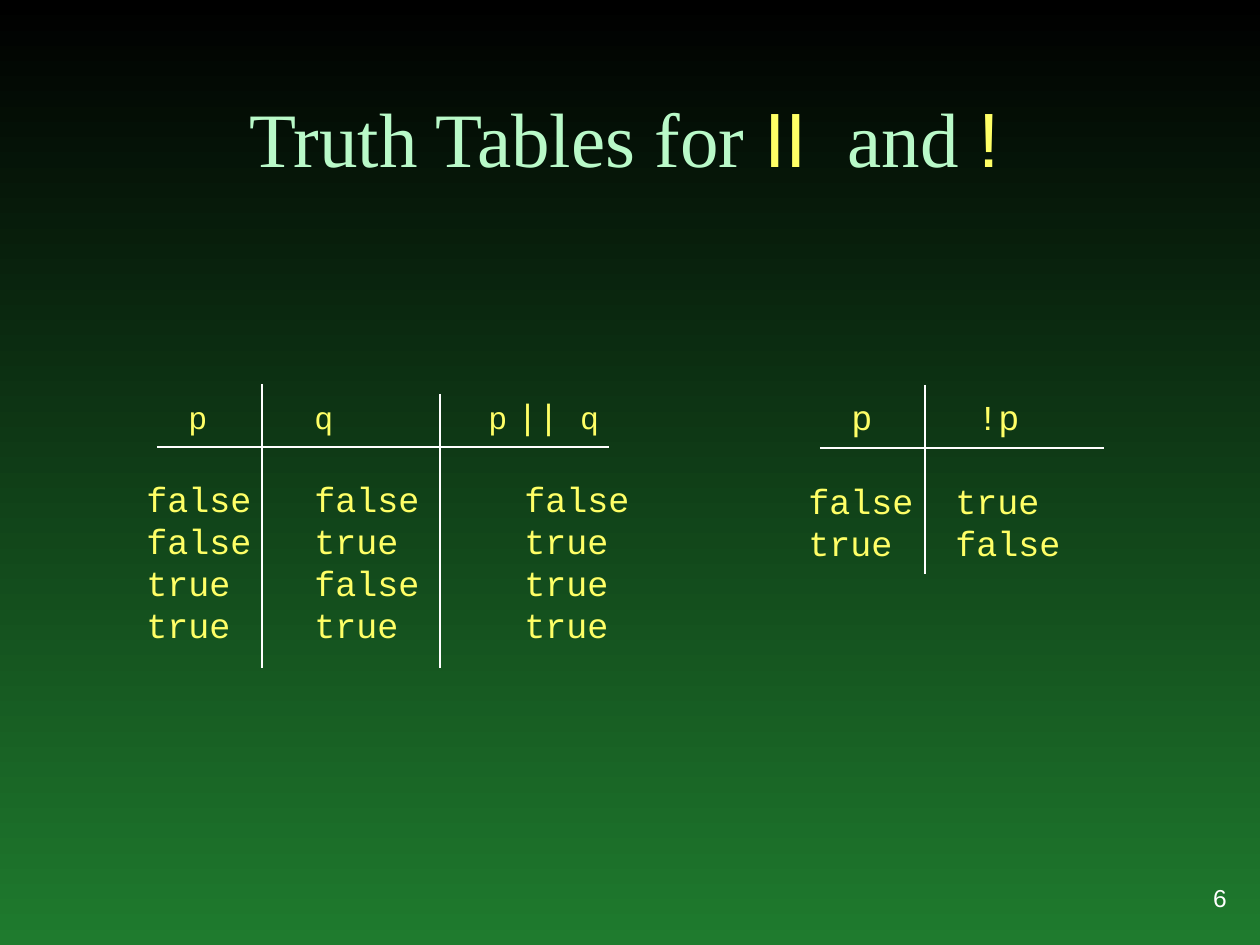
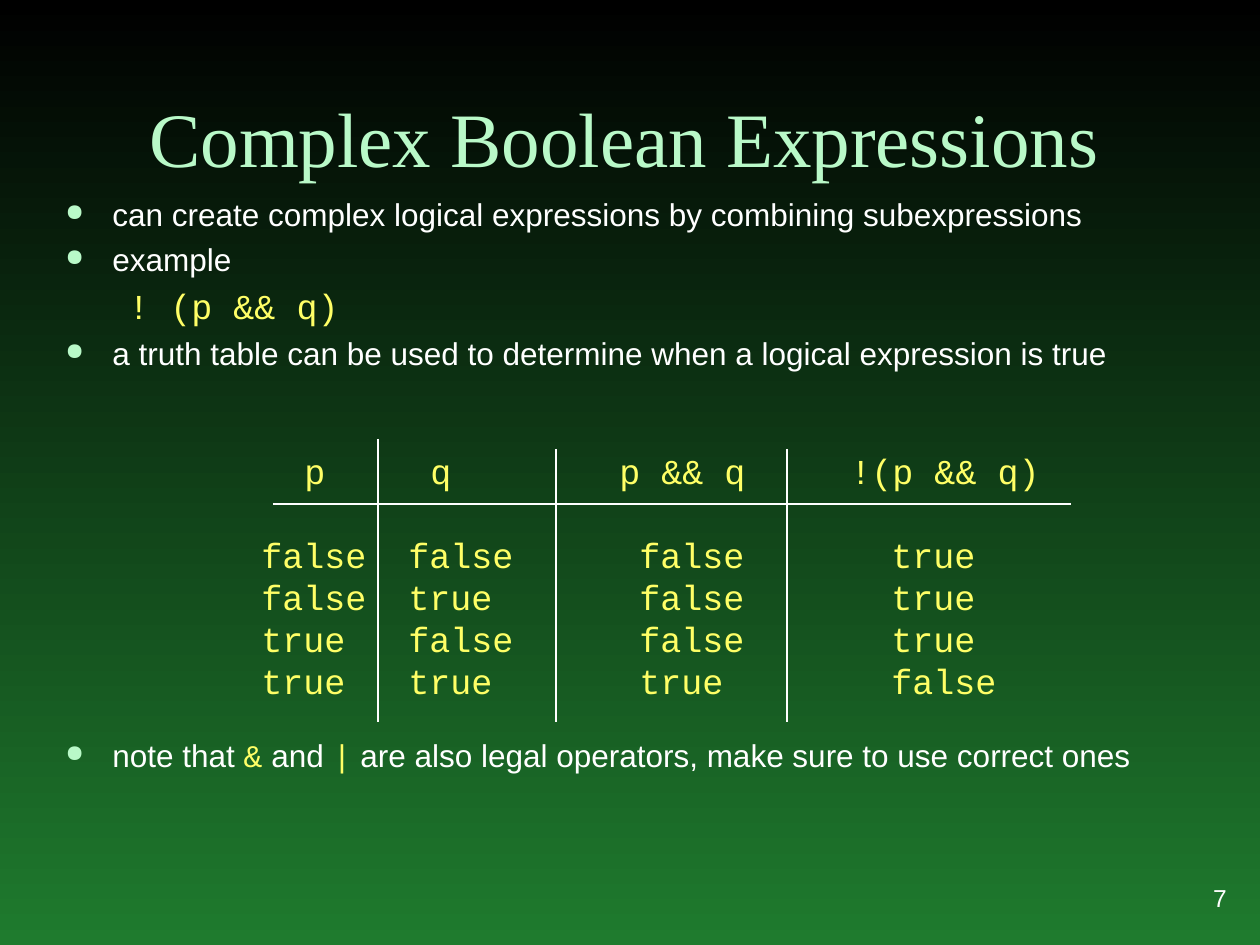
from dataclasses import dataclass

from lxml.etree import SubElement
from pptx import Presentation
from pptx.dml.color import RGBColor
from pptx.enum.shapes import MSO_CONNECTOR
from pptx.enum.text import MSO_ANCHOR, PP_ALIGN
from pptx.oxml.ns import qn
from pptx.util import Emu, Pt

PX_PER_INCH = 126
BLACK = RGBColor(0x00, 0x00, 0x00)
GREEN = RGBColor(0x1F, 0x7B, 0x2E)
MINT = RGBColor(0xB9, 0xF9, 0xC8)
YELLOW = RGBColor(0xFF, 0xFF, 0x66)
WHITE = RGBColor(0xFF, 0xFF, 0xFF)

SANS, SERIF, MONO = "Arial", "Times New Roman", "Courier New"
TITLE_BOX = (84, 32, 1081, 157)
NUMBER_BOX = (1071, 861, 168, 73)
BODY_BOX = (53, 189, 1166, 620)
BULLET_INDENT, CODE_INDENT = 47, 63
LINE_HEIGHT, INSET_HEIGHT = 42, 14


@dataclass(frozen=True)
class Span:
    text: str
    size: int = 20
    font: str = MONO
    color: RGBColor = YELLOW


@dataclass(frozen=True)
class TruthTable:
    """Rule, dividers and tab stops of one table; stops count from the text edge."""
    header: tuple[Span, ...]
    header_at: tuple[int, int]
    header_stops: tuple[int, ...]
    rows: tuple[str, ...]
    rows_at: tuple[int, int]
    row_stops: tuple[int, ...]
    rule: tuple[int, int, int]
    dividers: tuple[tuple[int, int], ...]
    bottom: int
    width: int


@dataclass(frozen=True)
class Point:
    spans: tuple[Span, ...]
    bulleted: bool = True
    space_before: int = 4


def title_span(text: str) -> Span:
    return Span(text, 44, SERIF, MINT)


def operator_span(text: str) -> Span:
    return Span(text, 44, SANS)


def plain(text: str) -> Span:
    return Span(text, 18, SANS, WHITE)


def code(text: str) -> Span:
    return Span(text, 18)


OR_TABLE = TruthTable(
    header=(code("p\tq\tp"), Span(" ", font=SANS), Span("|| "), code("q")),
    header_at=(176, 388), header_stops=(126, 300),
    rows=("false false false", "false true true", "true false true", "true true true"),
    rows_at=(134, 471), row_stops=(168, 378),
    rule=(157, 609, 447), dividers=((262, 384), (440, 394)), bottom=668, width=513,
)
NOT_TABLE = TruthTable(
    header=(Span("p\t!p"),),
    header_at=(839, 389), header_stops=(126,),
    rows=("false true", "true false"),
    rows_at=(796, 473), row_stops=(147,),
    rule=(820, 1104, 448), dividers=((925, 385),), bottom=574, width=300,
)
COMPLEX_TABLE = TruthTable(
    header=(Span("p\tq\tp && q\t!(p && q)"),),
    header_at=(292, 443), header_stops=(126, 315, 546),
    rows=("false false false true", "false true false true",
          "true false false true", "true true true false"),
    rows_at=(249, 527), row_stops=(147, 378, 630),
    rule=(273, 1071, 504), dividers=((378, 439), (556, 449), (787, 449)),
    bottom=722, width=789,
)
POINTS = (
    Point((plain("can create complex logical expressions by combining subexpressions"),)),
    Point((plain("example"),)),
    Point((Span("! (p && q)"),), bulleted=False),
    Point((plain("a truth table can be used to determine when a logical expression is true"),)),
    Point((plain("note that "), code("&"), plain(" and "), code("|"),
           plain(" are also legal operators, make sure to use correct ones")),
          space_before=208),
)


def px(length: int) -> Emu:
    return Emu(round(length * 914400 / PX_PER_INCH))


def add_text(paragraph, text: str, *, size: int, font: str, color: RGBColor) -> None:
    run = paragraph.add_run()
    run.text = text
    run.font.size = Pt(size)
    run.font.name = font
    run.font.color.rgb = color


def add_spans(paragraph, spans: tuple[Span, ...]) -> None:
    for span in spans:
        add_text(paragraph, span.text, size=span.size, font=span.font, color=span.color)


def add_box(slide, left: int, top: int, width: int, height: int, wrap: bool = False):
    frame = slide.shapes.add_textbox(px(left), px(top), px(width), px(height)).text_frame
    frame.word_wrap = wrap
    return frame


def next_paragraph(frame, index: int):
    return frame.add_paragraph() if index else frame.paragraphs[0]


def set_tab_stops(paragraph, stops: tuple[int, ...]) -> None:
    tab_list = SubElement(paragraph._p.get_or_add_pPr(), qn("a:tabLst"))
    for stop in stops:
        SubElement(tab_list, qn("a:tab"), pos=str(px(stop)), algn="l")


def set_bullet(paragraph) -> None:
    properties = paragraph._p.get_or_add_pPr()
    bullet_color = SubElement(properties, qn("a:buClr"))
    SubElement(bullet_color, qn("a:srgbClr"), val=str(MINT))
    SubElement(properties, qn("a:buSzPct"), val="75000")
    SubElement(properties, qn("a:buChar"), char="●")


def set_indent(paragraph, margin: int, first_line: int) -> None:
    properties = paragraph._p.get_or_add_pPr()
    properties.set("marL", str(px(margin)))
    properties.set("indent", str(px(first_line)))


def add_line(slide, x1: int, y1: int, x2: int, y2: int) -> None:
    line = slide.shapes.add_connector(MSO_CONNECTOR.STRAIGHT, px(x1), px(y1), px(x2), px(y2))
    line.line.color.rgb = WHITE
    line.line.width = Pt(1)
    SubElement(line._element.spPr, qn("a:effectLst"))


def add_tabbed_lines(slide, at: tuple[int, int], width: int, stops: tuple[int, ...],
                     lines: list[tuple[Span, ...]]) -> None:
    frame = add_box(slide, *at, width, LINE_HEIGHT * len(lines) + INSET_HEIGHT)
    for index, spans in enumerate(lines):
        paragraph = next_paragraph(frame, index)
        set_tab_stops(paragraph, stops)
        add_spans(paragraph, spans)


def add_truth_table(slide, table: TruthTable) -> None:
    left, right, y = table.rule
    add_line(slide, left, y, right, y)
    for x, top in table.dividers:
        add_line(slide, x, top, x, table.bottom)
    add_tabbed_lines(slide, table.header_at, table.width, table.header_stops, [table.header])
    rows = [(Span(row.replace(" ", "\t")),) for row in table.rows]
    add_tabbed_lines(slide, table.rows_at, table.width, table.row_stops, rows)


def add_points(slide, points: tuple[Point, ...]) -> None:
    frame = add_box(slide, *BODY_BOX, wrap=True)
    for index, point in enumerate(points):
        paragraph = next_paragraph(frame, index)
        paragraph.space_before = Pt(point.space_before)
        if point.bulleted:
            set_indent(paragraph, BULLET_INDENT, -BULLET_INDENT)
            set_bullet(paragraph)
        else:
            set_indent(paragraph, CODE_INDENT, 0)
        add_spans(paragraph, point.spans)


def set_background(master) -> None:
    fill = master.background.fill
    fill.gradient()
    fill.gradient_angle = 270
    for stop, position, color in zip(fill.gradient_stops, (0, 1), (BLACK, GREEN)):
        stop.position = position
        stop.color.rgb = color


def add_titled_slide(deck, title_spans: tuple[Span, ...], number: int):
    """Add a slide with its title and its number in the corner."""
    slide = deck.slides.add_slide(deck.slide_layouts[5])
    title = slide.shapes.title
    title.left, title.top, title.width, title.height = map(px, TITLE_BOX)
    title.text_frame.vertical_anchor = MSO_ANCHOR.BOTTOM
    heading = title.text_frame.paragraphs[0]
    heading.alignment = PP_ALIGN.CENTER
    add_spans(heading, title_spans)

    number_frame = add_box(slide, *NUMBER_BOX, wrap=True)
    number_frame.vertical_anchor = MSO_ANCHOR.MIDDLE
    corner = number_frame.paragraphs[0]
    corner.alignment = PP_ALIGN.RIGHT
    add_text(corner, str(number), size=14, font=SANS, color=WHITE)
    return slide


def main() -> None:
    deck = Presentation()
    deck.slide_width, deck.slide_height = px(1260), px(945)
    set_background(deck.slide_master)

    or_and_not = add_titled_slide(
        deck,
        (title_span("Truth Tables for "), operator_span("II "),
         title_span(" and "), operator_span("!")),
        number=6,
    )
    add_truth_table(or_and_not, OR_TABLE)
    add_truth_table(or_and_not, NOT_TABLE)

    complex_expressions = add_titled_slide(
        deck, (title_span("Complex Boolean Expressions"),), number=7)
    add_points(complex_expressions, POINTS)
    add_truth_table(complex_expressions, COMPLEX_TABLE)

    deck.save("out.pptx")


if __name__ == "__main__":
    main()
